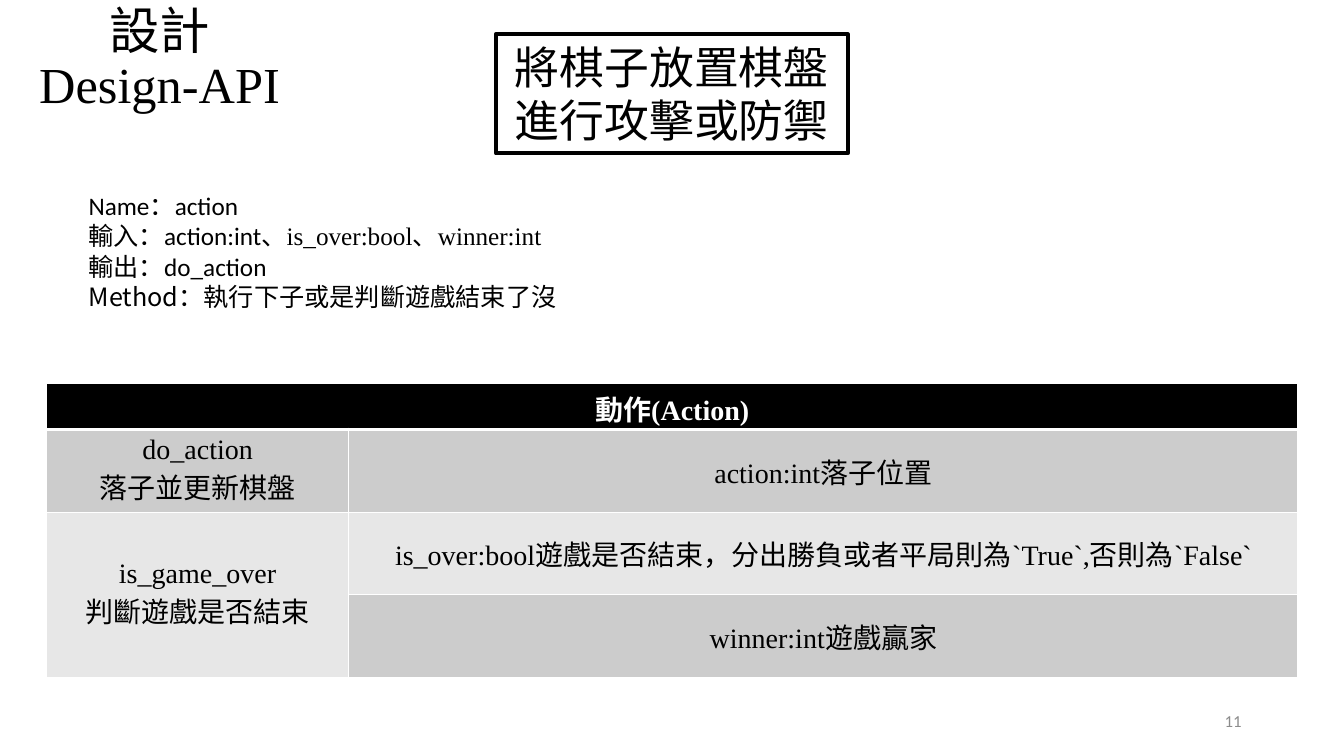
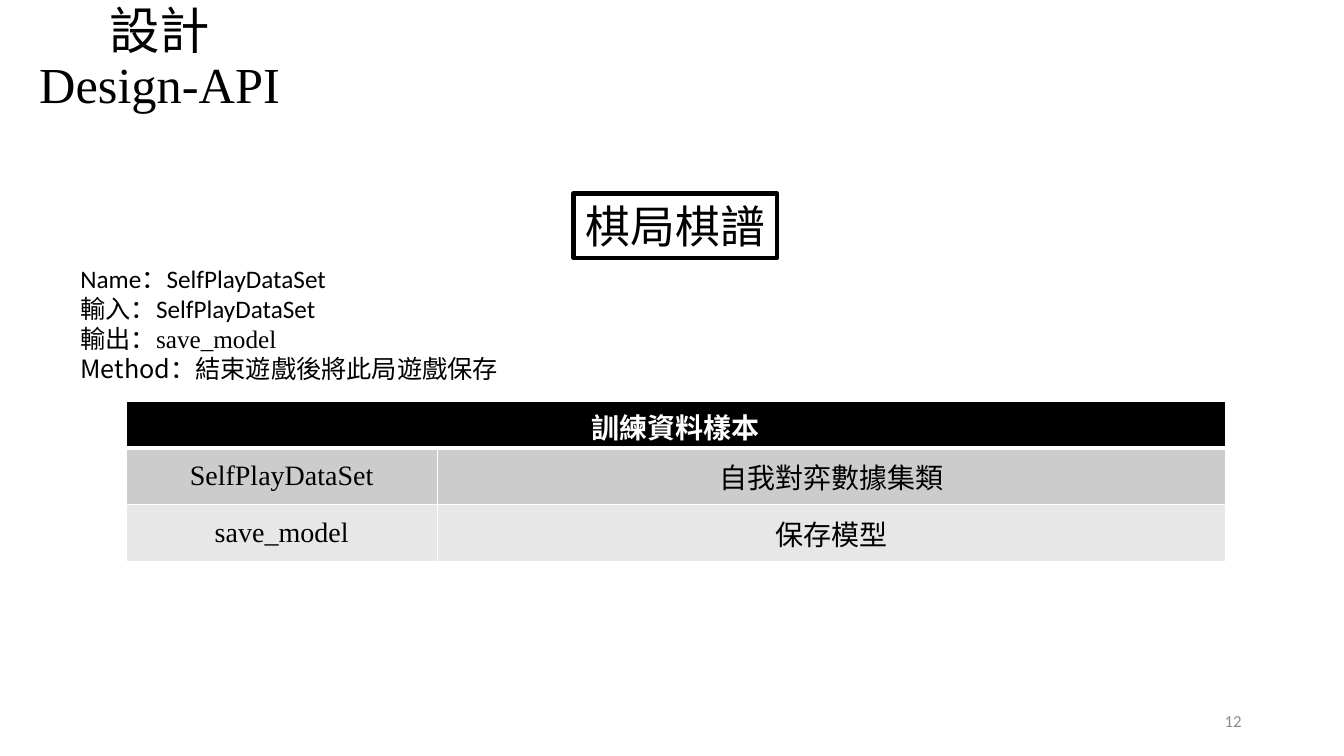
import dataclasses
import typing

import lxml.etree
import pptx
import pptx.dml.color
import pptx.enum.shapes
import pptx.enum.text
import pptx.oxml.ns
import pptx.util

Pt = pptx.util.Pt
ALIGN = pptx.enum.text.PP_ALIGN
ANCHOR = pptx.enum.text.MSO_ANCHOR
FIT = pptx.enum.text.MSO_AUTO_SIZE

BLACK, WHITE, GRAY = "000000", "FFFFFF", "8C8C8C"
BANDS = ("E7E7E7", "CCCCCC")
SERIF, SANS, HAN = "Times New Roman", "Calibri", "Noto Sans CJK SC"


class Box(typing.NamedTuple):
    left: float
    top: float
    width: float
    height: float


class Run(typing.NamedTuple):
    text: str
    font: str


Line = tuple[Run, ...]


@dataclasses.dataclass
class Grid:
    left: float
    top: float
    cols: tuple[float, ...]
    rows: tuple[float, ...]
    cells: dict[tuple[int, int], str]
    spans: list[tuple[int, int, int, int]]


@dataclasses.dataclass
class Page:
    number: int
    label: str
    frame: Box
    notes: list[Line]
    area: Box
    grid: Grid


def tint(code: str) -> pptx.dml.color.RGBColor:
    return pptx.dml.color.RGBColor.from_string(code)


def style(para, font: str, size: float, hue: str, align=ALIGN.LEFT, bold=False) -> None:
    para.alignment = align
    para.font.name = font
    para.font.size = Pt(size)
    para.font.bold = bold
    para.font.color.rgb = tint(hue)


def place(shape, box: Box) -> None:
    shape.left, shape.top, shape.width, shape.height = map(Pt, box)


def add_title(slide) -> None:
    title = slide.shapes.title
    place(title, Box(0, 0, 228, 86))
    frame = title.text_frame
    frame.text = "設計\vDesign-API"
    frame.auto_size = FIT.NONE
    frame.vertical_anchor = ANCHOR.MIDDLE
    para = frame.paragraphs[0]
    style(para, SERIF, 36, BLACK, ALIGN.CENTER)
    para.line_spacing = 0.9


def add_label(slide, text: str, box: Box) -> None:
    shape = slide.shapes.add_shape(
        pptx.enum.shapes.MSO_SHAPE.RECTANGLE, *map(Pt, box))
    shape.shadow.inherit = False
    shape.fill.background()
    shape.line.color.rgb = tint(BLACK)
    shape.line.width = Pt(3)
    frame = shape.text_frame
    frame.text = text
    frame.word_wrap = True
    frame.auto_size = FIT.SHAPE_TO_FIT_TEXT
    frame.vertical_anchor = ANCHOR.TOP
    for para in frame.paragraphs:
        style(para, HAN, 32, BLACK, ALIGN.CENTER)


def add_notes(slide, lines: list[Line], box: Box) -> None:
    frame = slide.shapes.add_textbox(*map(Pt, box)).text_frame
    frame.word_wrap = True
    frame.auto_size = FIT.SHAPE_TO_FIT_TEXT
    for index, line in enumerate(lines):
        para = frame.add_paragraph() if index else frame.paragraphs[0]
        style(para, line[0].font, 18, BLACK)
        for part in line:
            run = para.add_run()
            run.text = part.text
            if part.font != line[0].font:
                run.font.name = part.font


def add_edges(cell, row: int) -> None:
    """Draw white cell borders, thick between the header and the body."""
    widths = {"lnL": 1, "lnR": 1, "lnT": 3 if row == 1 else 1, "lnB": 1 if row else 3}
    props = cell._tc.get_or_add_tcPr()
    for index, (tag, width) in enumerate(widths.items()):
        edge = lxml.etree.Element(pptx.oxml.ns.qn(f"a:{tag}"), w=str(Pt(width)))
        fill = lxml.etree.SubElement(edge, pptx.oxml.ns.qn("a:solidFill"))
        lxml.etree.SubElement(fill, pptx.oxml.ns.qn("a:srgbClr"), val=WHITE)
        props.insert(index, edge)


def add_grid(slide, grid: Grid) -> None:
    box = Box(grid.left, grid.top, sum(grid.cols), sum(grid.rows))
    table = slide.shapes.add_table(
        len(grid.rows), len(grid.cols), *map(Pt, box)).table
    for col, width in zip(table.columns, grid.cols):
        col.width = Pt(width)
    for row, height in zip(table.rows, grid.rows):
        row.height = Pt(height)
    for top, left, low, right in grid.spans:
        table.cell(top, left).merge(table.cell(low, right))
    for row in range(len(grid.rows)):
        for col in range(len(grid.cols)):
            cell = table.cell(row, col)
            cell.fill.solid()
            cell.fill.fore_color.rgb = tint(BANDS[row % 2] if row else BLACK)
            cell.vertical_anchor = ANCHOR.MIDDLE
            add_edges(cell, row)
            if (row, col) in grid.cells:
                cell.text_frame.text = grid.cells[row, col]
            for para in cell.text_frame.paragraphs:
                style(para, SERIF, 20, BLACK if row else WHITE, ALIGN.CENTER, row == 0)


def add_number(slide, number: int) -> None:
    frame = slide.shapes.add_textbox(*map(Pt, Box(678, 500.5, 216, 28.8))).text_frame
    frame.word_wrap = True
    frame.vertical_anchor = ANCHOR.MIDDLE
    frame.text = str(number)
    style(frame.paragraphs[0], SANS, 12, GRAY, ALIGN.RIGHT)


PAGES = [
    Page(
        11,
        "將棋子放置棋盤\n進行攻擊或防禦", Box(354.2, 24.5, 251.3, 85),
        [
            (Run("Name：action", SANS),),
            (Run("輸入：action:int、", SANS), Run("is_over:bool、winner:int", SERIF)),
            (Run("輸出：do_action", SANS),),
            (Run("Method：執行下子或是判斷遊戲結束了沒", HAN),),
        ],
        Box(56.2, 132.5, 403.2, 94.3),
        Grid(
            33.2, 273.8, (216, 678), (33, 59, 59, 59),
            {
                (0, 0): "動作(Action)",
                (1, 0): "do_action\n落子並更新棋盤",
                (1, 1): "action:int落子位置",
                (2, 0): "is_game_over\n判斷遊戲是否結束",
                (2, 1): "is_over:bool遊戲是否結束，分出勝負或者平局則為`True`,否則為`False`",
                (3, 1): "winner:int遊戲贏家",
            },
            [(0, 0, 0, 1), (2, 0, 3, 0)],
        ),
    ),
    Page(
        12,
        "棋局棋譜", Box(409.7, 138.2, 145.4, 46),
        [
            (Run("Name：SelfPlayDataSet", SANS),),
            (Run("輸入：SelfPlayDataSet", SANS),),
            (Run("輸出：", SANS), Run("save_model", SERIF)),
            (Run("Method：結束遊戲後將此局遊戲保存", HAN),),
        ],
        Box(50.4, 184.3, 403.2, 94.3),
        Grid(
            90, 286.6, (222.5, 563), (33.5, 40.5, 40.5),
            {
                (0, 0): "訓練資料樣本",
                (1, 0): "SelfPlayDataSet",
                (1, 1): "自我對弈數據集類",
                (2, 0): "save_model",
                (2, 1): "保存模型",
            },
            [(0, 0, 0, 1)],
        ),
    ),
]


def main() -> None:
    deck = pptx.Presentation()
    deck.slide_width, deck.slide_height = Pt(960), Pt(540)
    for page in PAGES:
        slide = deck.slides.add_slide(deck.slide_layouts.get_by_name("Title Only"))
        add_title(slide)
        add_label(slide, page.label, page.frame)
        add_notes(slide, page.notes, page.area)
        add_grid(slide, page.grid)
        add_number(slide, page.number)
    deck.save("out.pptx")


if __name__ == "__main__":
    main()
